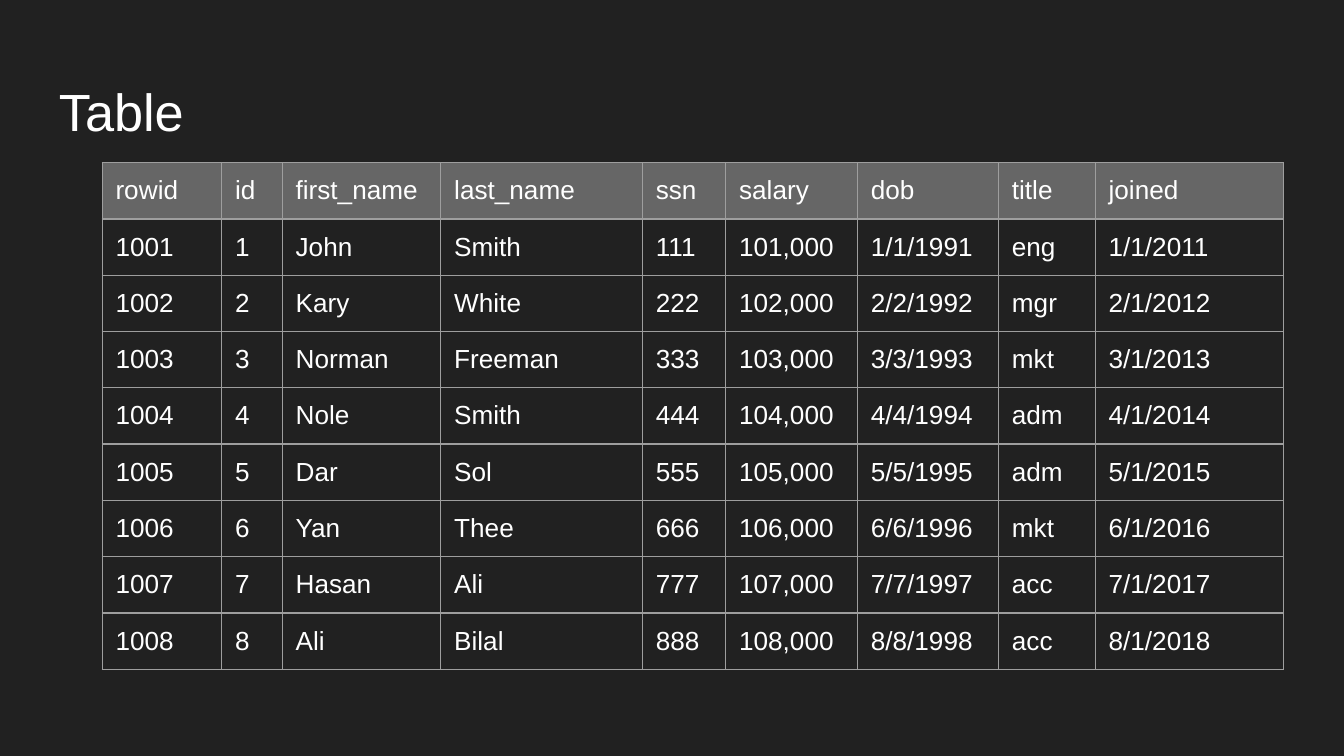
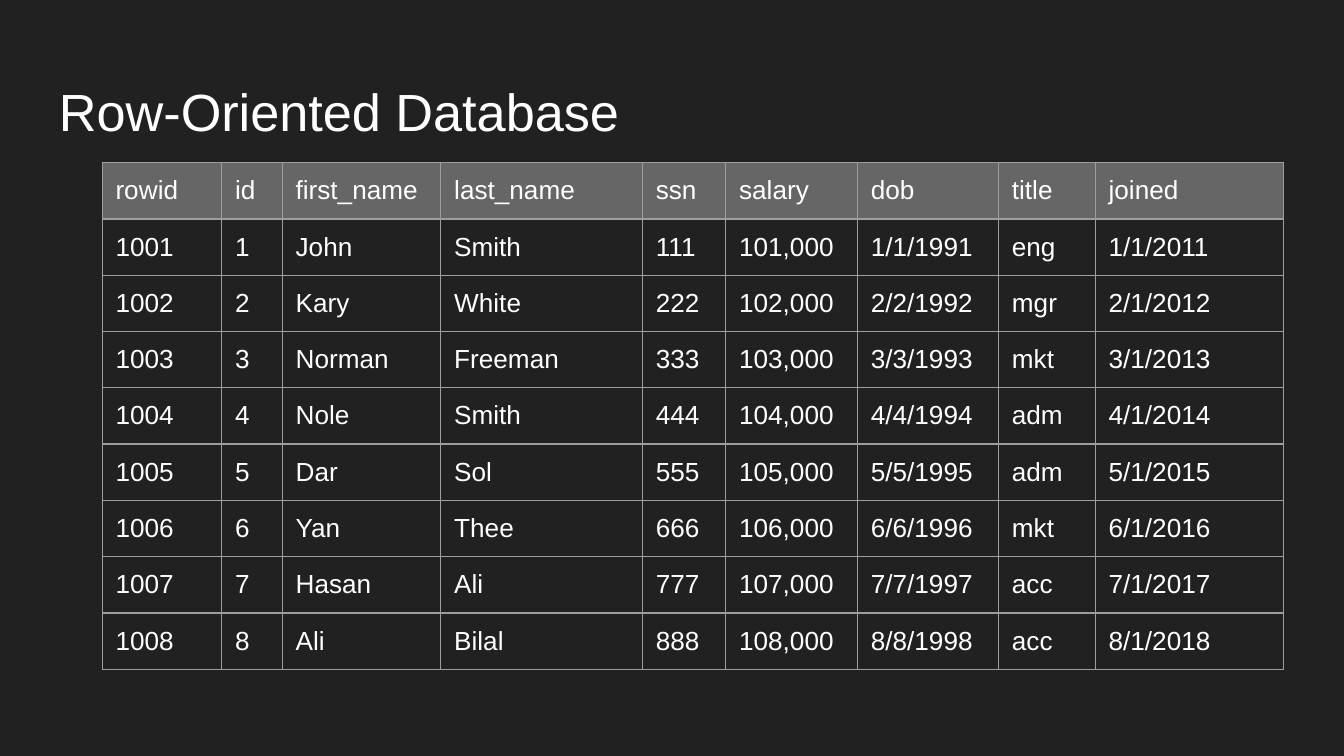
"""Build two dark slides, each with a title and the employee table."""
from dataclasses import dataclass

from lxml import etree
from pptx import Presentation
from pptx import util as u
from pptx.dml.color import RGBColor
from pptx.enum import text
from pptx.oxml.ns import qn

BACKGROUND = RGBColor(0x21, 0x21, 0x21)
HEADER = RGBColor(0x66, 0x66, 0x66)
BORDER = RGBColor(0x9E, 0x9E, 0x9E)
WHITE = RGBColor(0xFF, 0xFF, 0xFF)

SLIDE_WIDTH = u.Inches(10)
SLIDE_SIZE = {"slide_width": SLIDE_WIDTH, "slide_height": SLIDE_WIDTH * 9 // 16}
FONT = {"name": "Arial", "bold": False}
INSETS = {f"margin_{side}": u.Inches(0.1) for side in ("left", "right", "top", "bottom")}
TITLE_FRAME = INSETS | {
    "word_wrap": True,
    "auto_size": text.MSO_AUTO_SIZE.NONE,
    "vertical_anchor": text.MSO_ANCHOR.TOP,
}
TABLE_FLAGS = {"first_row": False, "horz_banding": False}


@dataclass(frozen=True)
class Column:
    """A table column with its width in inches."""

    name: str
    width: float


@dataclass(frozen=True)
class Employee:
    """One employee of the table."""

    id: int
    first_name: str
    last_name: str
    title: str

    def values(self) -> list[str]:
        """Return the table row of this employee."""
        n = self.id
        return [
            f"{1000 + n}", f"{n}", self.first_name, self.last_name, f"{111 * n}",
            f"{100 + n},000", f"{n}/{n}/{1990 + n}", self.title, f"{n}/1/{2010 + n}",
        ]


COLUMNS = [
    Column("rowid", 0.89),
    Column("id", 0.45),
    Column("first_name", 1.18),
    Column("last_name", 1.5),
    Column("ssn", 0.62),
    Column("salary", 0.98),
    Column("dob", 1.05),
    Column("title", 0.72),
    Column("joined", 1.4),
]
EMPLOYEES = [
    Employee(1, "John", "Smith", "eng"),
    Employee(2, "Kary", "White", "mgr"),
    Employee(3, "Norman", "Freeman", "mkt"),
    Employee(4, "Nole", "Smith", "adm"),
    Employee(5, "Dar", "Sol", "adm"),
    Employee(6, "Yan", "Thee", "mkt"),
    Employee(7, "Hasan", "Ali", "acc"),
    Employee(8, "Ali", "Bilal", "acc"),
]
TITLES = ["Table", "Row-Oriented Database"]


def set_attrs(obj, values: dict) -> None:
    """Set each named attribute of an object."""
    for name, value in values.items():
        setattr(obj, name, value)


def write(tf, content: str, size: int) -> None:
    """Write one white run into a text frame."""
    r = tf.paragraphs[0].add_run()
    r.text = content
    set_attrs(r.font, FONT | {"size": u.Pt(size)})
    r.font.color.rgb = WHITE


def add_borders(cell) -> None:
    """Draw a thin line on all four sides of a cell."""
    tc_pr = cell._tc.get_or_add_tcPr()
    for side in ("lnL", "lnR", "lnT", "lnB"):
        ln = etree.SubElement(tc_pr, qn(f"a:{side}"), w=str(u.Pt(0.75)))
        fill = etree.SubElement(ln, qn("a:solidFill"))
        etree.SubElement(fill, qn("a:srgbClr"), val=str(BORDER))


def add_title(slide, content: str) -> None:
    """Add the slide title."""
    sp = slide.shapes.add_textbox(u.Inches(0.34), u.Inches(0.49), u.Inches(9.32), u.Inches(0.63))
    set_attrs(sp.text_frame, TITLE_FRAME)
    write(sp.text_frame, content, 28)


def add_employee_table(slide) -> None:
    """Add the employee table with its grey header row."""
    rows = [[c.name for c in COLUMNS]] + [e.values() for e in EMPLOYEES]
    width = sum(c.width for c in COLUMNS)
    table = slide.shapes.add_table(
        len(rows), len(COLUMNS),
        u.Inches(0.76), u.Inches(1.21), u.Inches(width), u.Inches(3.75),
    ).table
    set_attrs(table, TABLE_FLAGS)
    for table_column, column in zip(table.columns, COLUMNS):
        table_column.width = u.Inches(column.width)
    for i, row in enumerate(rows):
        for j, value in enumerate(row):
            cell = table.cell(i, j)
            set_attrs(cell, INSETS)
            add_borders(cell)
            if i == 0:
                cell.fill.solid()
                cell.fill.fore_color.rgb = HEADER
            else:
                cell.fill.background()
            write(cell.text_frame, value, 14)


def add_slide(prs, title: str) -> None:
    """Add one dark slide with a title and the table."""
    slide = prs.slides.add_slide(prs.slide_layouts[6])
    slide.background.fill.solid()
    slide.background.fill.fore_color.rgb = BACKGROUND
    add_title(slide, title)
    add_employee_table(slide)


def main() -> None:
    """Build and save the presentation."""
    prs = Presentation()
    set_attrs(prs, SLIDE_SIZE)
    for title in TITLES:
        add_slide(prs, title)
    prs.save("out.pptx")


main()
